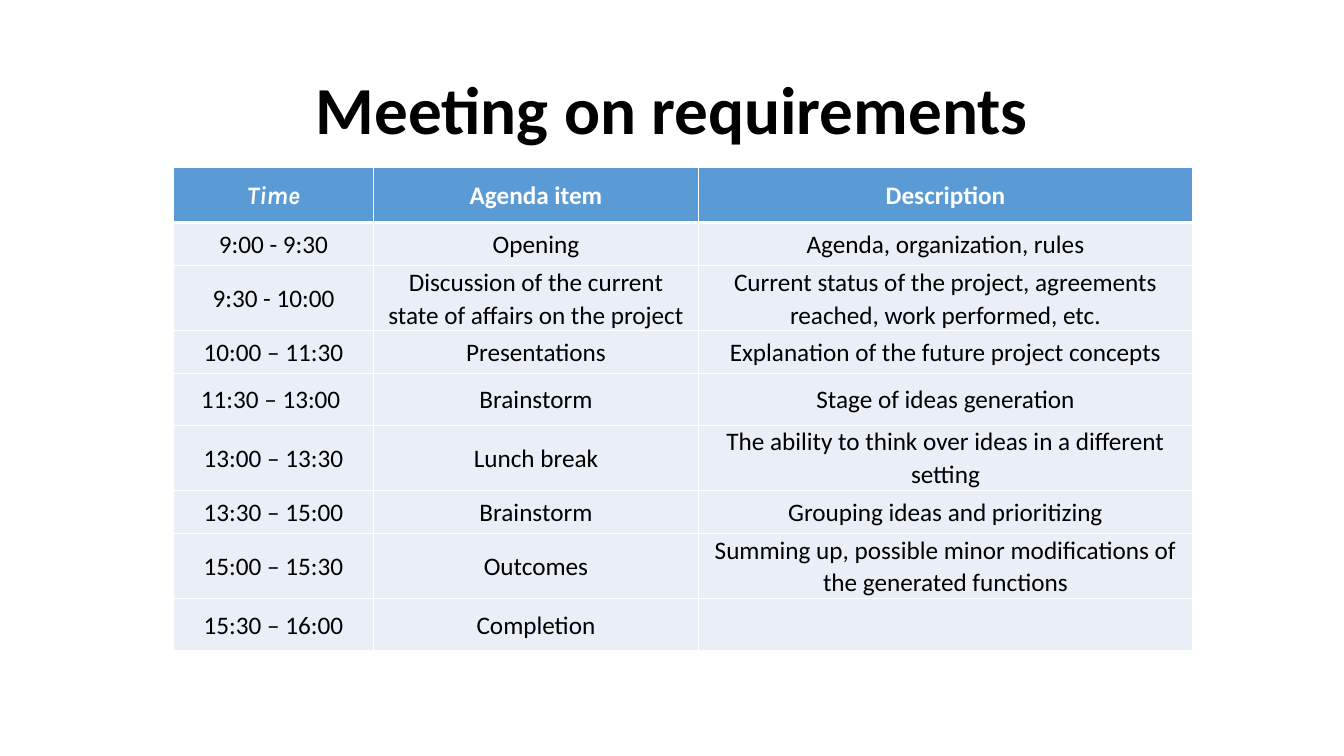
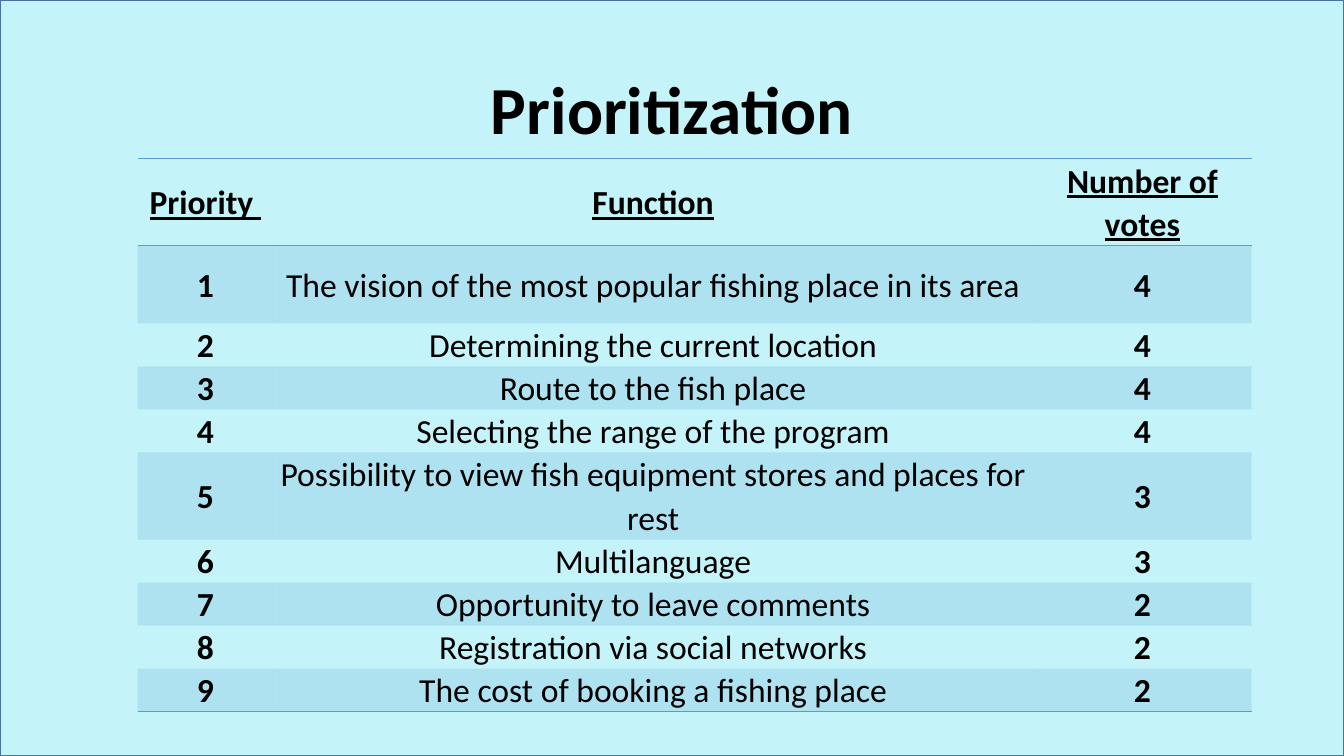
from dataclasses import dataclass, replace

from lxml import etree
from pptx import Presentation, util as u
from pptx.dml.color import RGBColor
from pptx.enum import shapes, text as t
from pptx.oxml.ns import qn

PX = 9525  # EMU per px, 96 px to the inch
WIDE, HIGH = 1280, 720
BLANK = 6
PLAIN = "{2D5ABB26-0587-4C30-8999-92F81FD0307C}"  # no style, no grid

BLACK = RGBColor(0x00, 0x00, 0x00)
WHITE = RGBColor(0xFF, 0xFF, 0xFF)
BLUE = RGBColor(0x5B, 0x9B, 0xD5)
PALE = RGBColor(0xEA, 0xEF, 0xF7)
AQUA = RGBColor(0x04, 0xD0, 0xE6)
NAVY = RGBColor(0x43, 0x73, 0x9E)


@dataclass(frozen=True)
class Look:
    size: int
    color: RGBColor = BLACK
    bold: bool = False
    italic: bool = False
    under: bool = False
    font: str = "Calibri"
    lead: float = 1.06


@dataclass(frozen=True)
class Grid:
    left: int
    top: int
    cols: tuple[int, ...]
    rows: tuple[int, ...]
    cells: tuple[tuple[str, ...], ...]


TITLE = Look(48, bold=True, lead=0.9)

AGENDA = Grid(
    165, 159, (191, 309, 471), (53, 41, 62, 41, 49, 62, 41, 62, 50),
    (
        ("Time", "Agenda item", "Description"),
        ("9:00 - 9:30", "Opening", "Agenda, organization, rules"),
        ("9:30 - 10:00", "Discussion of the current state of affairs on the project",
         "Current status of the project, agreements reached, work performed, etc."),
        ("10:00 – 11:30", "Presentations", "Explanation of the future project concepts"),
        ("11:30 – 13:00 ", "Brainstorm", "Stage of ideas generation"),
        ("13:00 – 13:30", "Lunch break",
         "The ability to think over ideas in a different setting"),
        ("13:30 – 15:00", "Brainstorm", "Grouping ideas and prioritizing"),
        ("15:00 – 15:30", "Outcomes",
         "Summing up, possible minor modifications of the generated functions"),
        ("15:30 – 16:00", "Completion", ""),
    ),
)

VOTES = Grid(
    131, 151, (129, 724, 208), (83, 74, 41, 41, 41, 83, 41, 41, 41, 41),
    (
        ("Priority ", "Function", "Number of votes"),
        ("1", "The vision of the most popular fishing place in its area", "4"),
        ("2", "Determining the current location", "4"),
        ("3", "Route to the fish place", "4"),
        ("4", "Selecting the range of the program", "4"),
        ("5", "Possibility to view fish equipment stores and places for rest", "3"),
        ("6", "Multilanguage", "3"),
        ("7", "Opportunity to leave comments", "2"),
        ("8", "Registration via social networks", "2"),
        ("9", "The cost of booking a fishing place", "2"),
    ),
)


def px(count: int) -> u.Emu:
    return u.Emu(count * PX)


def write(frame, words: str, look: Look) -> None:
    frame.word_wrap = True
    para = frame.paragraphs[0]
    para.text = words
    para.alignment = t.PP_ALIGN.CENTER
    para.line_spacing = look.lead
    font = para.font
    font.name, font.size = look.font, u.Pt(look.size)
    font.bold, font.italic, font.underline = look.bold, look.italic, look.under
    font.color.rgb = look.color


def fade(props, percent: int) -> None:
    """Set the opacity of the solid fill held in these properties."""
    color = props.find(qn("a:solidFill")).find(qn("a:srgbClr"))
    etree.SubElement(color, qn("a:alpha"), val=str(percent * 1000))


def edge(cell, color: RGBColor, **sides: int) -> None:
    """Draw cell borders, given as L, R, T or B with a width in points."""
    props = cell._tc.get_or_add_tcPr()
    drawn = [side for side in "LRTB" if side in sides]
    for place, side in enumerate(drawn):
        line = etree.Element(qn(f"a:ln{side}"), w=str(u.Pt(sides[side])))
        fill = etree.SubElement(line, qn("a:solidFill"))
        etree.SubElement(fill, qn("a:srgbClr"), val=str(color))
        props.insert(place, line)


def add_title(slide, words: str) -> None:
    box = slide.shapes.add_textbox(px(88), px(38), px(1104), px(139))
    box.text_frame.vertical_anchor = t.MSO_ANCHOR.MIDDLE
    write(box.text_frame, words, TITLE)


def add_grid(slide, grid: Grid):
    """Add a bare table with its sizes and margins set."""
    frame = slide.shapes.add_table(
        len(grid.rows), len(grid.cols), px(grid.left), px(grid.top),
        px(sum(grid.cols)), px(sum(grid.rows)))
    table = frame.table
    table.first_row = table.horz_banding = False
    next(frame.element.iter(qn("a:tableStyleId"))).text = PLAIN
    for col, width in zip(table.columns, grid.cols):
        col.width = px(width)
    for row, height in zip(table.rows, grid.rows):
        row.height = px(height)
    for cell in table.iter_cells():
        cell.vertical_anchor = t.MSO_ANCHOR.MIDDLE
        cell.margin_left = cell.margin_right = px(7)
        cell.margin_top = cell.margin_bottom = 0
    return table


def add_agenda(slide) -> None:
    body = Look(18)
    head = replace(body, color=WHITE, bold=True)
    first = replace(head, italic=True, font="Karla")
    table = add_grid(slide, AGENDA)
    for r, line in enumerate(AGENDA.cells):
        for c, words in enumerate(line):
            cell = table.cell(r, c)
            cell.fill.solid()
            cell.fill.fore_color.rgb = PALE if r else BLUE
            if r:
                edge(cell, WHITE, L=1, R=1, B=1)
            else:
                edge(cell, WHITE, L=1, R=1, T=1, B=3)
            if words:
                look = body if r else head if c else first
                write(cell.text_frame, words, look)


def add_votes(slide) -> None:
    body = Look(24)
    strong = replace(body, bold=True)
    head = replace(strong, under=True)
    table = add_grid(slide, VOTES)
    last = len(VOTES.rows) - 1
    for r, line in enumerate(VOTES.cells):
        for c, words in enumerate(line):
            cell = table.cell(r, c)
            if r % 2:
                cell.fill.solid()
                cell.fill.fore_color.rgb = BLUE
                fade(cell._tc.get_or_add_tcPr(), 20)
            else:
                cell.fill.background()
            if r == 0:
                edge(cell, BLUE, T=1, B=1)
            elif r == last:
                edge(cell, BLUE, B=1)
            look = head if r == 0 else body if c == 1 else strong
            write(cell.text_frame, words, look)


def add_wash(slide) -> None:
    """Cover the slide with a pale tint."""
    wash = slide.shapes.add_shape(
        shapes.MSO_SHAPE.RECTANGLE, 0, 0, px(WIDE), px(HIGH))
    wash.shadow.inherit = False
    wash.fill.solid()
    wash.fill.fore_color.rgb = AQUA
    fade(wash.element.spPr, 23)
    wash.line.color.rgb = NAVY
    wash.line.width = u.Pt(1)


def main() -> None:
    deck = Presentation()
    deck.slide_width, deck.slide_height = px(WIDE), px(HIGH)
    blank = deck.slide_layouts[BLANK]

    slide = deck.slides.add_slide(blank)
    add_title(slide, "Meeting on requirements")
    add_agenda(slide)

    slide = deck.slides.add_slide(blank)
    add_wash(slide)
    add_title(slide, "Prioritization")
    add_votes(slide)

    deck.save("out.pptx")


if __name__ == "__main__":
    main()
